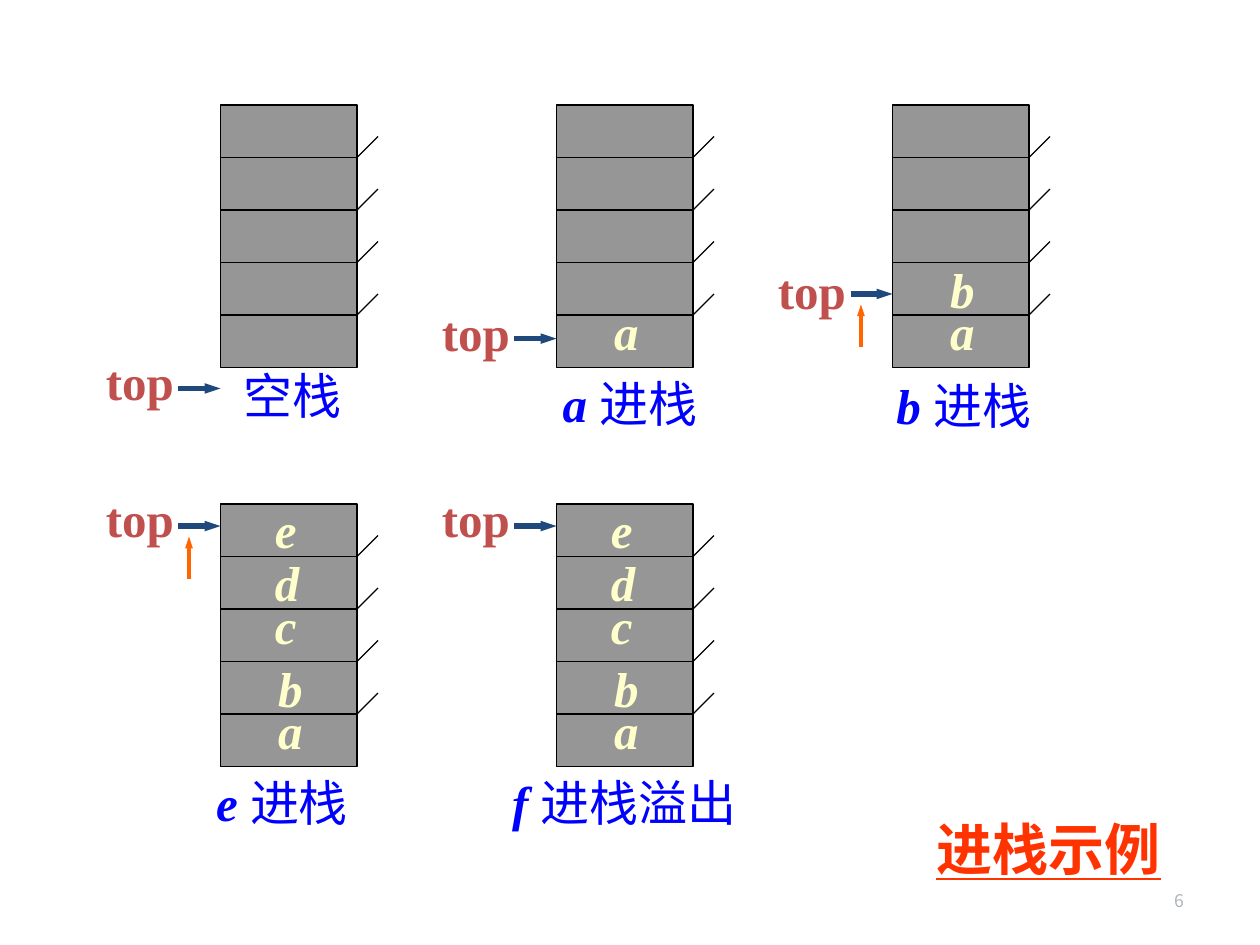
from lxml import etree
from pptx import Presentation
from pptx import util as u
from pptx.dml.color import RGBColor
from pptx.enum import shapes, text
from pptx.oxml import ns

THEME = {
    "cell": "969696", "outline": "000000", "top": "C0504D", "pointer": "1F497D",
    "rise": "FF6600", "caption": "0000FF", "item": "FFFFCC", "title": "FF3300",
    "page": "AEB6BB", "latin": "Times New Roman", "cjk": "Noto Sans CJK SC",
    "body_size": 28, "title_size": 32, "page_size": 10,
    "thin": 0.75, "medium": 2.25, "thick": 3,
}

STACKS = [
    {"col": 0, "row": 0, "items": "", "symbol": "", "action": "空栈",
     "caption": (1, -0.8, 12), "pointer": 27, "top": 22.9, "rise": False},
    {"col": 1, "row": 0, "items": "a", "symbol": "a ", "action": "进栈",
     "caption": (-0.6, 0, 16.5), "pointer": 22.25, "top": 18.2, "rise": False},
    {"col": 2, "row": 0, "items": "ab", "symbol": "b ", "action": "进栈",
     "caption": (-0.8, 0.15, 16.5), "pointer": 18, "top": 14.2, "rise": True},
    {"col": 0, "row": 1, "items": "abcde", "symbol": "e ", "action": "进栈",
     "caption": (-1.6, 0, 16.5), "pointer": 2.1, "top": -2.05, "rise": True},
    {"col": 1, "row": 1, "items": "abcde", "symbol": "f ", "action": "进栈溢出",
     "caption": (-5.4, 0, 25.2), "pointer": 2.1, "top": -2.05, "rise": False},
]
ITEM_PLACES = {"a": (4.3, 18.1, 4.7), "b": (4.3, 14.1, 4.7), "c": (4, 8.15, 4.4),
               "d": (4, 4, 4.7), "e": (4, -1, 4.4)}
TITLE = "进栈示例"
PAGE = "6"

GRID_COLS, GRID_ROWS = 120, 90
FIRST_X, STEP_X = 21, 32
FIRST_Y, STEP_Y = 10, 38
CELL_W, CELL_H, CELLS = 13, 5, 5
TICK, POINTER_W, TEXT_H = 2, 4, 6.84

deck = Presentation()
deck.slide_width, deck.slide_height = u.Inches(10), u.Inches(7.5)
slide = deck.slides.add_slide(deck.slide_layouts[6])


def grid(x, y):
    return round(deck.slide_width * x / GRID_COLS), round(deck.slide_height * y / GRID_ROWS)


def color(part):
    return RGBColor.from_string(THEME[part])


def add_text(runs, x, y, w, h=TEXT_H, part="item", size="body_size", font="latin",
             underline=None, align=None, wrap=False, anchor=text.MSO_ANCHOR.TOP):
    frame = slide.shapes.add_textbox(*grid(x, y), *grid(w, h)).text_frame
    frame.word_wrap = wrap
    frame.auto_size = text.MSO_AUTO_SIZE.NONE if wrap else text.MSO_AUTO_SIZE.SHAPE_TO_FIT_TEXT
    frame.vertical_anchor = anchor
    line = frame.paragraphs[0]
    line.alignment = align
    for words, bold, italic in runs:
        run = line.add_run()
        run.text = words
        run.font.size = u.Pt(THEME[size])
        run.font.bold, run.font.italic, run.font.underline = bold, italic, underline
        run.font.color.rgb = color(part)
        run.font.name = THEME[font]
        east_asian = etree.SubElement(run._r.get_or_add_rPr(), ns.qn("a:ea"))
        east_asian.set("typeface", THEME["cjk"])


def add_line(x1, y1, x2, y2, part="outline", width="thin", arrow=False):
    line = slide.shapes.add_connector(
        shapes.MSO_CONNECTOR.STRAIGHT, *grid(x1, y1), *grid(x2, y2))
    line.line.color.rgb = color(part)
    line.line.width = u.Pt(THEME[width])
    if arrow:
        head = etree.SubElement(line.line._get_or_add_ln(), ns.qn("a:tailEnd"))
        head.set("type", "triangle")
        head.set("w", "sm")
    etree.SubElement(line._element.spPr, ns.qn("a:effectLst"))


def add_stack(x, y):
    body = slide.shapes.add_shape(
        shapes.MSO_SHAPE.RECTANGLE, *grid(x, y), *grid(CELL_W, CELL_H * CELLS))
    body.shadow.inherit = False
    body.fill.solid()
    body.fill.fore_color.rgb = color("cell")
    body.line.color.rgb = color("outline")
    body.line.width = u.Pt(THEME["thin"])
    right = x + CELL_W
    for cell in range(1, CELLS):
        divider = y + cell * CELL_H
        add_line(x, divider, right, divider)
        add_line(right, divider, right + TICK, divider - TICK)


for stack in STACKS:
    x = FIRST_X + stack["col"] * STEP_X
    y = FIRST_Y + stack["row"] * STEP_Y
    add_stack(x, y)

    pointer = y + stack["pointer"]
    add_text([("top", True, False)], x - 12.1, y + stack["top"], 8.9, part="top")
    add_line(x - POINTER_W, pointer, x, pointer, "pointer", "thick", arrow=True)
    if stack["rise"]:
        add_line(x - 3, pointer + 5, x - 3, pointer + 1, "rise", "medium", arrow=True)

    for item in stack["items"]:
        dx, dy, width = ITEM_PLACES[item]
        add_text([(item, True, True)], x + dx, y + dy, width)

    dx, dy, width = stack["caption"]
    caption = [(stack["symbol"], True, True)] if stack["symbol"] else []
    caption.append((stack["action"], False, False))
    add_text(caption, x + dx, y + CELL_H * CELLS + dy, width, part="caption")

add_text([(TITLE, True, False)], 88, 77, 24, 7.7, part="title", size="title_size",
         underline=True)
add_text([(PAGE, False, False)], 86, 83.4, 28, 4.8, part="page", size="page_size", font="cjk",
         align=text.PP_ALIGN.RIGHT, wrap=True, anchor=text.MSO_ANCHOR.MIDDLE)

deck.save("out.pptx")
